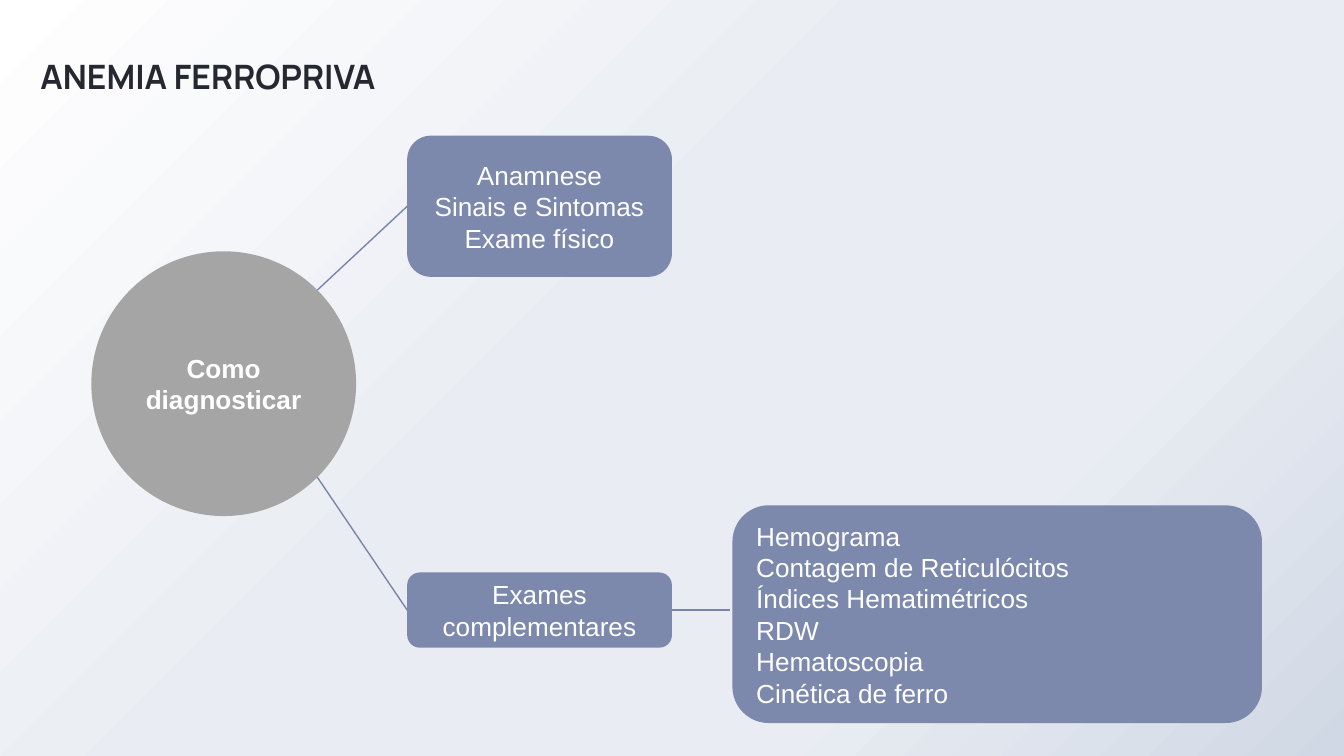
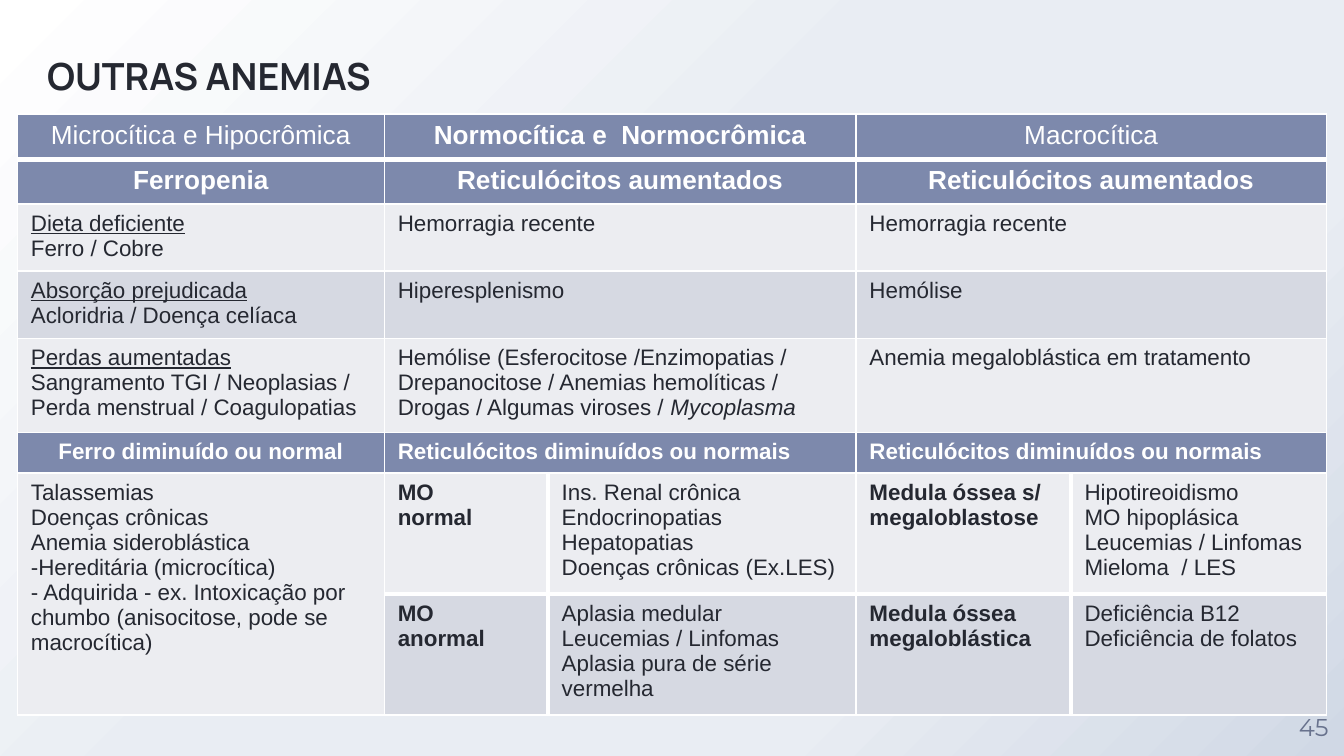
import math

import pptx
import pptx.dml.color
import pptx.enum.shapes
import pptx.enum.text
import pptx.oxml
import pptx.oxml.ns
import pptx.util
from lxml import etree

RGBColor = pptx.dml.color.RGBColor
Shape = pptx.enum.shapes.MSO_SHAPE
Anchor = pptx.enum.text.MSO_ANCHOR
Align = pptx.enum.text.PP_ALIGN

WHITE = RGBColor(0xFF, 0xFF, 0xFF)
INK = RGBColor(0x25, 0x28, 0x31)
SLATE = RGBColor(0x7D, 0x89, 0xAC)
LINE = RGBColor(0x78, 0x84, 0xA9)
GRAY = RGBColor(0xA5, 0xA5, 0xA5)
PALE = RGBColor(0xEC, 0xED, 0xF1)
BAND = RGBColor(0xD6, 0xD9, 0xE2)
NUMBER = RGBColor(0x68, 0x72, 0x8D)
MIST = RGBColor(0xE9, 0xED, 0xF3)
HAZE = RGBColor(0xD0, 0xD8, 0xE5)

BACKGROUND_STOPS = [(0, WHITE), (44, MIST), (72, MIST), (100, HAZE)]
COLUMNS = 100  # square grid cells across the page
MARGINS = (1, 0.5, 1, 0.5)


def write(frame, lines, size=14, font="Arial", color=WHITE, bold=False,
          align=Align.LEFT):
    """Fill a frame; a line is a string or a list of (text, font changes)."""
    for index, line in enumerate(lines):
        para = frame.paragraphs[0] if index == 0 else frame.add_paragraph()
        para.alignment = align
        for text, changes in [(line, {})] if isinstance(line, str) else line:
            span = para.add_run()
            span.text = text
            span.font.size = pptx.util.Pt(size)
            span.font.name = font
            span.font.color.rgb = color
            span.font.bold = bold
            for name, value in changes.items():
                setattr(span.font, name, value)


class SlideBuilder:
    def __init__(self):
        self.deck = pptx.Presentation()
        self.deck.slide_width = pptx.util.Inches(10)
        self.deck.slide_height = self.deck.slide_width * 9 // 16
        self.cell_size = self.deck.slide_width / COLUMNS
        self.page = None
        self.paint_background()

    def grid(self, *cells):
        return [pptx.util.Emu(round(value * self.cell_size)) for value in cells]

    def paint_background(self):
        fill = self.deck.slide_master.background.fill
        fill.solid()
        stops = "".join(
            f'<a:gs pos="{share * 1000}"><a:srgbClr val="{color}"/></a:gs>'
            for share, color in BACKGROUND_STOPS)
        gradient = pptx.oxml.parse_xml(
            f'<a:gradFill {pptx.oxml.ns.nsdecls("a")} rotWithShape="1">'
            f'<a:gsLst>{stops}</a:gsLst><a:path path="circle">'
            '<a:fillToRect r="100000" b="100000"/></a:path>'
            '<a:tileRect l="-100000" t="-100000"/></a:gradFill>')
        tag = pptx.oxml.ns.qn("a:solidFill")
        solid = next(self.deck.slide_master.element.iter(tag))
        solid.getparent().replace(solid, gradient)

    def new_page(self):
        self.page = self.deck.slides.add_slide(self.deck.slide_layouts[6])

    def frame(self, box, anchor, margins):
        frame = box.text_frame
        frame.word_wrap = True
        frame.vertical_anchor = anchor
        (frame.margin_left, frame.margin_top,
         frame.margin_right, frame.margin_bottom) = self.grid(*margins)
        return frame

    def text(self, place, line, anchor=Anchor.MIDDLE, **style):
        box = self.page.shapes.add_textbox(*self.grid(*place))
        write(self.frame(box, anchor, (0, 0, 0, 0)), [line], **style)

    def title(self, place, line, size):
        self.text(place, line, Anchor.BOTTOM, size=size, font="Manrope",
                  color=INK, bold=True)

    def shape(self, place, lines, kind=Shape.ROUNDED_RECTANGLE, fill=SLATE,
              align=Align.CENTER, **style):
        box = self.page.shapes.add_shape(kind, *self.grid(*place))
        box.shadow.inherit = False
        box.fill.solid()
        box.fill.fore_color.rgb = fill
        box.line.fill.background()
        write(self.frame(box, Anchor.MIDDLE, MARGINS), lines, align=align, **style)
        return box

    def line(self, start, end, start_box=None, end_box=None):
        link = self.page.shapes.add_connector(
            pptx.enum.shapes.MSO_CONNECTOR.STRAIGHT, *self.grid(*start, *end))
        if start_box is not None:
            link.begin_connect(start_box, 3)
        if end_box is not None:
            link.end_connect(end_box, 1)
        link.line.color.rgb = LINE
        link.line.width = pptx.util.Pt(0.75)
        properties = link._element.spPr
        etree.SubElement(properties, pptx.oxml.ns.qn("a:effectLst"))

    def table(self, left, top, widths, heights):
        table = self.page.shapes.add_table(
            len(heights), len(widths),
            *self.grid(left, top, sum(widths), sum(heights))).table
        table.first_row = table.horz_banding = False
        for column, width in zip(table.columns, self.grid(*widths)):
            column.width = width
        for row, height in zip(table.rows, self.grid(*heights)):
            row.height = height
        return table

    def cell(self, cell, fill, borders):
        (cell.margin_left, cell.margin_top,
         cell.margin_right, cell.margin_bottom) = self.grid(*MARGINS)
        properties = cell._tc.get_or_add_tcPr()
        for side, width in zip("LRTB", borders):
            properties.append(pptx.oxml.parse_xml(
                f'<a:ln{side} {pptx.oxml.ns.nsdecls("a")} w="{pptx.util.Pt(width)}">'
                f'<a:solidFill><a:srgbClr val="{WHITE}"/></a:solidFill></a:ln{side}>'))
        cell.fill.solid()
        cell.fill.fore_color.rgb = fill


# Diagnosis map
def build_diagnosis(builder):
    builder.new_page()
    builder.title((3, 1.6, 30.5, 5.6), "ANEMIA FERROPRIVA", 18)

    left, top, diameter = 6.8, 18.7, 19.7
    builder.shape((left, top, diameter, diameter), ["Como diagnosticar"],
                  kind=Shape.OVAL, fill=GRAY, bold=True)
    history = builder.shape((30.3, 10.1, 19.7, 10.5),
                            ["Anamnese", "Sinais e Sintomas", "Exame físico"])
    exams = builder.shape((30.3, 42.6, 19.7, 5.6), ["Exames complementares"])
    builder.shape((54.5, 37.6, 39.4, 16.2),
                  ["Hemograma", "Contagem de Reticulócitos",
                   "Índices Hematimétricos", "RDW", "Hematoscopia",
                   "Cinética de ferro"], align=Align.LEFT)

    # Branches leave the circle at 45 degrees
    radius = diameter / 2
    reach = radius * math.sqrt(0.5)
    for box, direction in ((history, -1), (exams, 1)):
        start = (left + radius + reach, top + radius + direction * reach)
        builder.line(start, start, end_box=box)
    builder.line((50, 45.4), (54.3, 45.4), start_box=exams)


HEADING = dict(size=14, bold=True, align=Align.CENTER)
SUBHEADING = dict(size=12, bold=True)
BODY = dict(size=12, color=INK)


def underlined(head, *lines):
    return [[(head, {"underline": True})], *lines]


def strong(*lines):
    return [[(line, {"bold": True})] for line in lines]


def light(line):
    return [[(line, {"bold": False})]]


# Each row: fill, text style, cell contents
ANEMIAS = [
    (SLATE, HEADING, [light("Microcítica e Hipocrômica"),
                      ["Normocítica e  Normocrômica"], light("Macrocítica")]),
    (SLATE, HEADING, [["Ferropenia"], ["Reticulócitos aumentados"],
                      ["Reticulócitos aumentados"]]),
    (PALE, BODY, [underlined("Dieta deficiente", "Ferro / Cobre"),
                  ["Hemorragia recente"], ["Hemorragia recente"]]),
    (BAND, BODY, [underlined("Absorção prejudicada", "Acloridria / Doença celíaca"),
                  ["Hiperesplenismo"], ["Hemólise"]]),
    (PALE, BODY, [
        underlined("Perdas aumentadas", "Sangramento TGI / Neoplasias / "
                   "Perda menstrual / Coagulopatias"),
        [[("Hemólise (Esferocitose /Enzimopatias / Drepanocitose / Anemias "
           "hemolíticas / Drogas / Algumas viroses / ", {}),
          ("Mycoplasma", {"italic": True})]],
        ["Anemia megaloblástica em tratamento"]]),
    (SLATE, SUBHEADING, [["Ferro diminuído ou normal"],
                         ["Reticulócitos diminuídos ou normais"],
                         ["Reticulócitos diminuídos ou normais"]]),
    (PALE, BODY, [
        ["Talassemias", "Doenças crônicas", "Anemia sideroblástica",
         "-Hereditária (microcítica)",
         "- Adquirida - ex. Intoxicação por chumbo (anisocitose, pode se macrocítica)"],
        strong("MO", "normal"),
        ["Ins. Renal crônica", "Endocrinopatias", "Hepatopatias",
         "Doenças crônicas (Ex.LES)"],
        strong("Medula óssea s/ megaloblastose"),
        ["Hipotireoidismo", "MO hipoplásica", "Leucemias / Linfomas",
         "Mieloma  / LES"]]),
    (BAND, BODY, [
        [], strong("MO", "anormal"),
        ["Aplasia medular", "Leucemias / Linfomas", "Aplasia pura de série vermelha"],
        strong("Medula óssea megaloblástica"),
        ["Deficiência B12", "Deficiência de folatos"]]),
]
SPLIT_ROW = 6  # from here on the two right groups split in two


def border_widths(row, column):
    """Left, right, top and bottom widths in points."""
    split = row >= SPLIT_ROW
    left = 2.25 if split and column in (2, 4) else 1
    right = 2.25 if split and column in (1, 3) else 1
    top = 3 if row == 1 else 2.25 if row > SPLIT_ROW and column else 1
    bottom = 3 if row == 0 else 2.25 if row == SPLIT_ROW and column else 1
    return left, right, top, bottom


# Table of the other anemias
def build_other_anemias(builder):
    builder.new_page()
    builder.title((3.5, 3.1, 39.2, 4.2), "OUTRAS ANEMIAS", 20)
    builder.text((95.5, 51.8, 4.5, 4.5), "45", size=13, font="Montserrat",
                 color=NUMBER, align=Align.CENTER)

    widths = [27.3, 12.2, 22.9, 16, 19]
    heights = [2.9, 2.9, 4.1, 4.1, 5.8, 2.9, 7.5, 7.5]
    table = builder.table(1.3, 8.5, widths, heights)
    for row, (fill, style, contents) in enumerate(ANEMIAS):
        for column in range(len(widths)):
            builder.cell(table.cell(row, column), fill, border_widths(row, column))
        if row < SPLIT_ROW:
            for column in (1, 3):
                table.cell(row, column).merge(table.cell(row, column + 1))
        columns = (0, 1, 3) if row < SPLIT_ROW else range(len(widths))
        for column, lines in zip(columns, contents):
            centred = style is SUBHEADING and column == 0
            cell_style = {**style, "align": Align.CENTER} if centred else style
            write(table.cell(row, column).text_frame, lines, **cell_style)
    first = table.cell(SPLIT_ROW, 0)
    first.merge(table.cell(SPLIT_ROW + 1, 0))


def main():
    builder = SlideBuilder()
    build_diagnosis(builder)
    build_other_anemias(builder)
    builder.deck.save("out.pptx")


if __name__ == "__main__":
    main()
